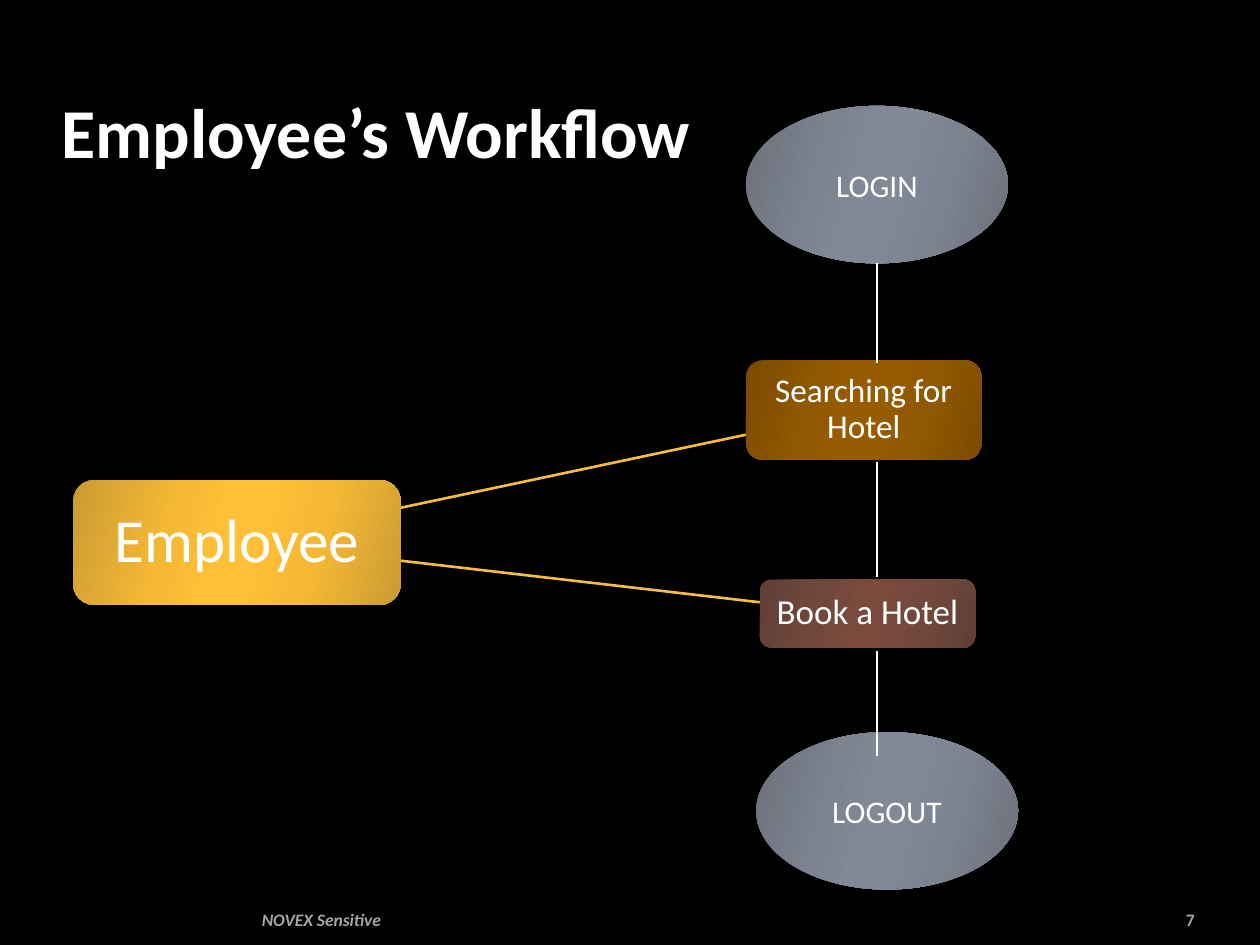
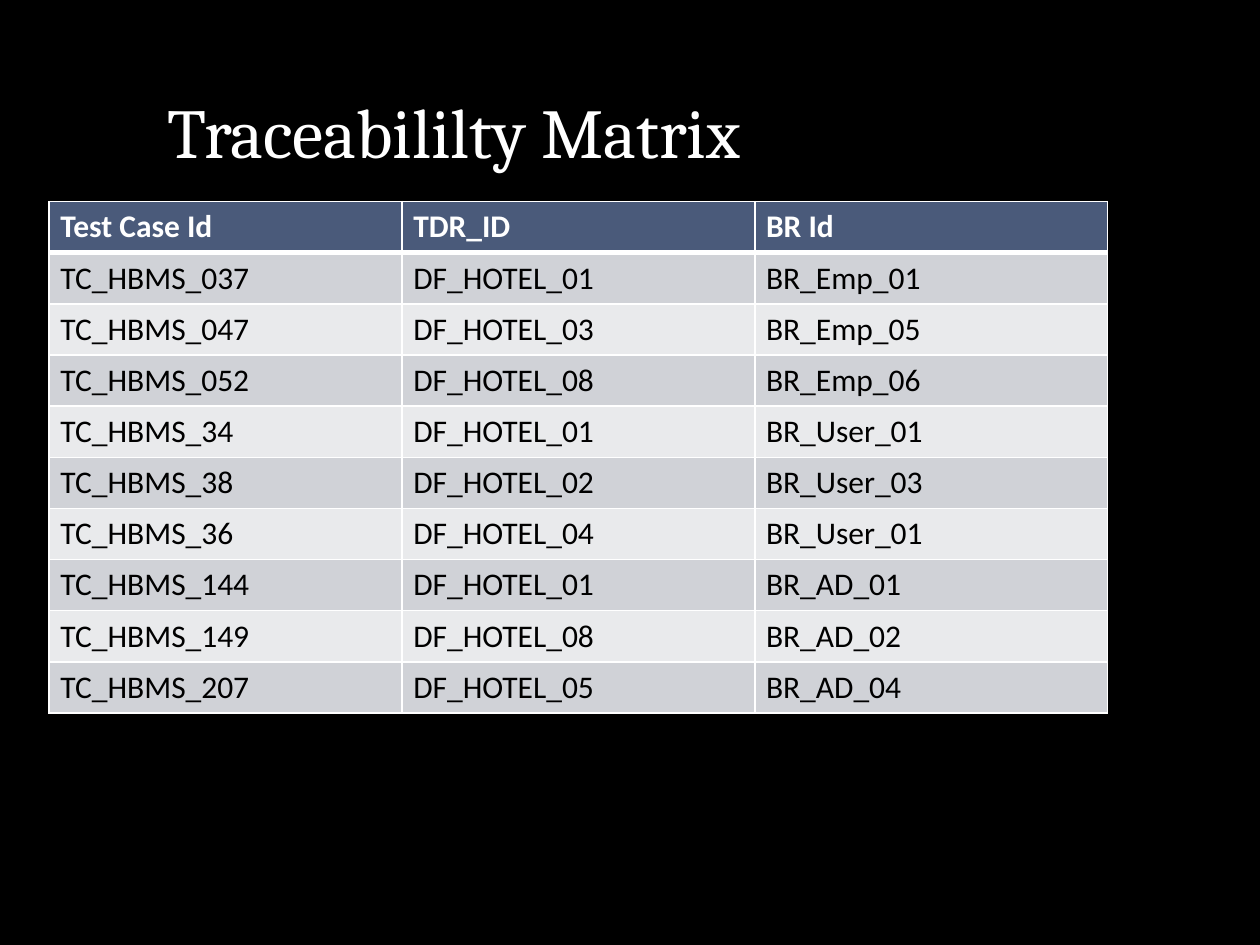
from dataclasses import dataclass

from lxml.etree import SubElement
from pptx import Presentation
from pptx.dml.color import RGBColor
from pptx.enum.shapes import MSO_CONNECTOR as Connector, MSO_SHAPE as Shape
from pptx.enum.text import MSO_ANCHOR as Anchor, PP_ALIGN as Align
from pptx.oxml.ns import qn
from pptx.util import Inches, Pt


@dataclass(frozen=True)
class Theme:
    """Colours as RRGGBB, gradients as edge, middle and core, sizes in points."""
    background: str = "000000"
    light: str = "FFFFFF"
    dark: str = "000000"
    footer: str = "A6A6A6"
    branch: str = "F7BD40"
    header: str = "4A5A7A"
    bands: tuple = ("D0D2D7", "E9EAEC")
    gold: tuple = ("CA9B34", "F5B834", "FFC038")
    amber: tuple = ("7C4B00", "905800", "975C00")
    brown: tuple = ("603F35", "72483C", "7A4A3C")
    slate: tuple = ("6B707A", "7C838F", "818897")
    font: str = "Calibri"
    serif: str = "Cambria"
    title_size: int = 40
    footer_size: int = 10
    text_size: int = 18


THEME = Theme()
GRADIENT_STOPS = ((0, 0), (30, 1), (45, 2), (55, 2), (73, 1), (100, 0))
FLOW_X = 6.96
MATRIX = (
    ("Test Case Id", "TDR_ID", "BR Id"),
    ("TC_HBMS_037", "DF_HOTEL_01", "BR_Emp_01"),
    ("TC_HBMS_047", "DF_HOTEL_03", "BR_Emp_05"),
    ("TC_HBMS_052", "DF_HOTEL_08", "BR_Emp_06"),
    ("TC_HBMS_34", "DF_HOTEL_01", "BR_User_01"),
    ("TC_HBMS_38", "DF_HOTEL_02", "BR_User_03"),
    ("TC_HBMS_36", "DF_HOTEL_04", "BR_User_01"),
    ("TC_HBMS_144", "DF_HOTEL_01", "BR_AD_01"),
    ("TC_HBMS_149", "DF_HOTEL_08", "BR_AD_02"),
    ("TC_HBMS_207", "DF_HOTEL_05", "BR_AD_04"),
)


def inches(*lengths):
    """Convert several lengths to inches."""
    return [Inches(length) for length in lengths]


def style(paragraph, size, color=THEME.light, font=THEME.font, bold=False, italic=False):
    """Set the font of a whole paragraph."""
    paragraph.font.name = font
    paragraph.font.size = Pt(size)
    paragraph.font.bold = bold
    paragraph.font.italic = italic
    paragraph.font.color.rgb = RGBColor.from_string(color)


def add_titled_slide(deck, text, font, bold=False, indent=0.1):
    """Add a slide with its title at the shared place."""
    slide = deck.slides.add_slide(deck.slide_layouts[5])
    title = slide.shapes.title
    title.left, title.top, title.width, title.height = inches(0.39, 0.25, 8.4, 1.17)
    frame = title.text_frame
    frame.text = text
    frame.vertical_anchor = Anchor.BOTTOM
    frame.margin_left = Inches(indent)
    paragraph = frame.paragraphs[0]
    paragraph.alignment = Align.LEFT
    paragraph.space_before = Pt(4)
    style(paragraph, THEME.title_size, font=font, bold=bold)
    return slide


def add_footer(slide, text, left, width, align, italic=False):
    """Add a line of footer text."""
    frame = slide.shapes.add_textbox(*inches(left, 7.16, width, 0.27)).text_frame
    frame.word_wrap = True
    frame.vertical_anchor = Anchor.MIDDLE
    frame.text = text
    frame.paragraphs[0].alignment = align
    style(frame.paragraphs[0], THEME.footer_size, THEME.footer, bold=True, italic=italic)


def fill_gradient(shape, colors):
    """Fill a shape with a symmetric gradient of edge, middle and core colours."""
    shape.fill.gradient()
    shape.fill.gradient_angle = 344
    stops = shape.element.spPr.find(qn("a:gradFill")).find(qn("a:gsLst"))
    for stop in list(stops):
        stops.remove(stop)
    for position, index in GRADIENT_STOPS:
        stop = SubElement(stops, qn("a:gs"), pos=str(position * 1000))
        SubElement(stop, qn("a:srgbClr"), val=colors[index])


def add_node(slide, kind, text, box, colors, size, inset=0.1, spacing=1.0):
    """Add a workflow step with centred text."""
    node = slide.shapes.add_shape(kind, *inches(*box))
    node.shadow.inherit = False
    node.line.fill.background()
    fill_gradient(node, colors)
    frame = node.text_frame
    frame.word_wrap = True
    frame.vertical_anchor = Anchor.MIDDLE
    frame.margin_left = frame.margin_right = Inches(inset)
    frame.margin_top = frame.margin_bottom = Inches(inset)
    frame.text = text
    frame.paragraphs[0].alignment = Align.CENTER
    frame.paragraphs[0].line_spacing = spacing
    style(frame.paragraphs[0], size)


def add_link(slide, start, end, color, width):
    """Add a straight line between two points."""
    link = slide.shapes.add_connector(Connector.STRAIGHT, *inches(*start, *end))
    link.line.color.rgb = RGBColor.from_string(color)
    link.line.width = Pt(width)
    SubElement(link.element.spPr, qn("a:effectLst"))


def set_borders(cell, top, bottom):
    """Draw the four cell borders, with top and bottom widths in points."""
    properties = cell._tc.get_or_add_tcPr()
    for index, (side, width) in enumerate(zip("LRTB", (1, 1, top, bottom))):
        border = SubElement(properties, qn(f"a:ln{side}"), w=str(Pt(width)))
        fill = SubElement(border, qn("a:solidFill"))
        SubElement(fill, qn("a:srgbClr"), val=THEME.light)
        properties.insert(index, border)


def add_matrix(slide, rows, box):
    """Add a banded table with a header row."""
    table = slide.shapes.add_table(len(rows), len(rows[0]), *inches(*box)).table
    for row, values in enumerate(rows):
        is_header = row == 0
        fill = THEME.header if is_header else THEME.bands[(row - 1) % 2]
        color = THEME.light if is_header else THEME.dark
        for column, value in enumerate(values):
            cell = table.cell(row, column)
            cell.text = value
            cell.margin_left = cell.margin_right = Inches(0.09)
            cell.fill.solid()
            cell.fill.fore_color.rgb = RGBColor.from_string(fill)
            style(cell.text_frame.paragraphs[0], THEME.text_size, color, bold=is_header)
            set_borders(cell, top=3 if row == 1 else 1, bottom=3 if is_header else 1)


def build_workflow(deck):
    """Build the employee workflow slide."""
    slide = add_titled_slide(deck, "Employee’s Workflow", THEME.font, bold=True)
    add_footer(slide, "7", 8.62, 0.96, Align.RIGHT)
    add_footer(slide, "NOVEX Sensitive", 1.98, 4.47, Align.LEFT, italic=True)
    for start, end in (((3.18, 4.03), (5.92, 3.45)), ((3.18, 4.45), (6.03, 4.78))):
        add_link(slide, start, end, THEME.branch, 1.5)
    for text, box, colors, size, inset in (
        ("Employee", (0.58, 3.81, 2.6, 0.99), THEME.gold, 35, 0.15),
        ("Searching for Hotel", (5.92, 2.86, 1.87, 0.79), THEME.amber, 19, 0.09),
        ("Book a Hotel", (6.03, 4.6, 1.71, 0.54), THEME.brown, 20, 0.09),
    ):
        add_node(slide, Shape.ROUNDED_RECTANGLE, text, box, colors, size, inset, 0.9)
    for text, left, top in (("LOGIN", 5.92, 0.84), ("LOGOUT", 6, 5.81)):
        add_node(slide, Shape.OVAL, text, (left, top, 2.08, 1.25), THEME.slate, THEME.text_size)
    for top, bottom in ((2.09, 2.88), (3.67, 4.58), (5.17, 6)):
        add_link(slide, (FLOW_X, top), (FLOW_X, bottom), THEME.light, 0.75)


def build_traceability(deck):
    """Build the traceability matrix slide."""
    slide = add_titled_slide(deck, "Traceabililty Matrix", THEME.serif, indent=0.94)
    add_matrix(slide, MATRIX, (0.39, 1.6, 8.4, 4.06))


def main():
    """Build and save the deck."""
    deck = Presentation()
    deck.slide_width, deck.slide_height = inches(10, 7.5)
    backdrop = deck.slide_master.background.fill
    backdrop.solid()
    backdrop.fore_color.rgb = RGBColor.from_string(THEME.background)
    build_workflow(deck)
    build_traceability(deck)
    deck.save("out.pptx")


if __name__ == "__main__":
    main()
